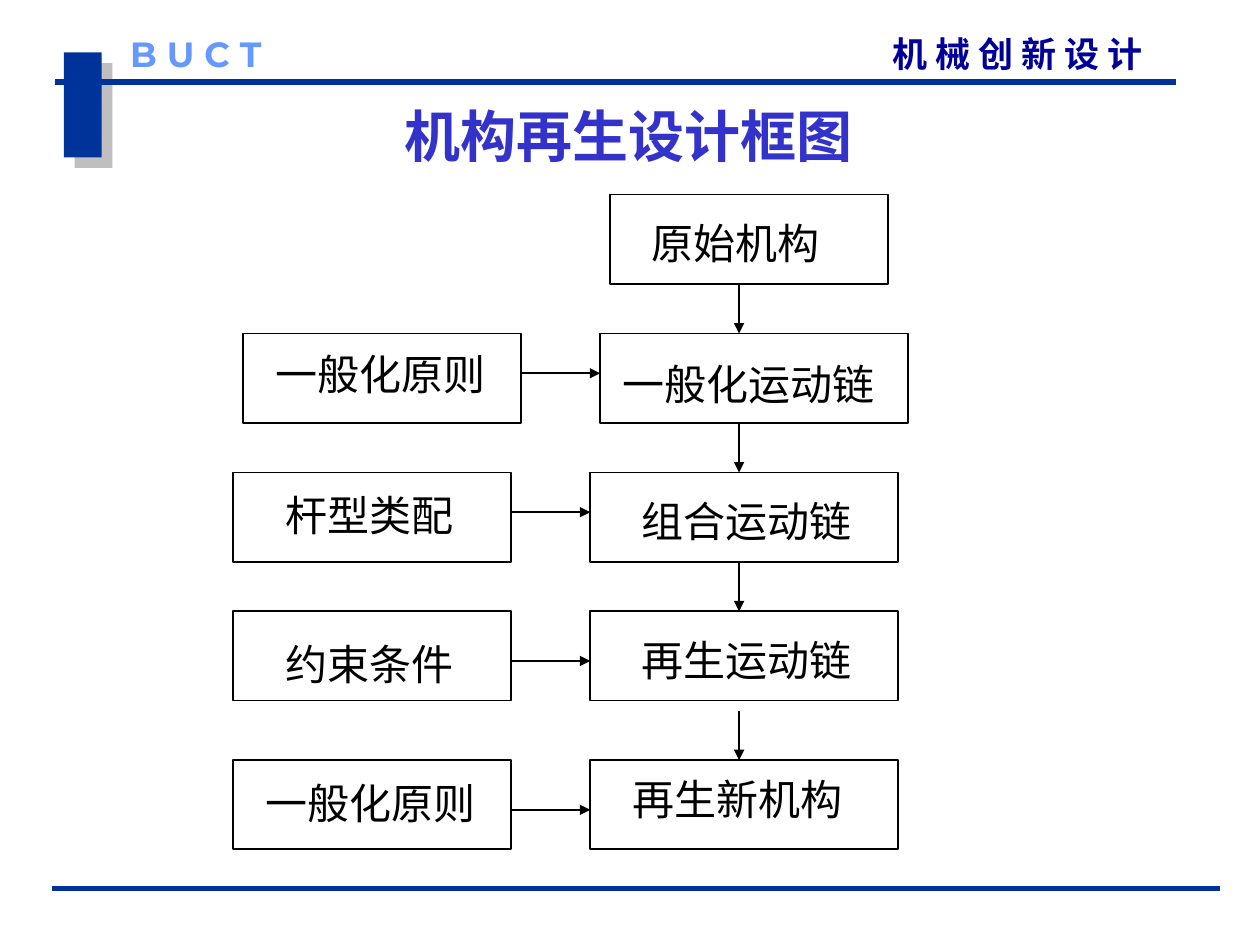
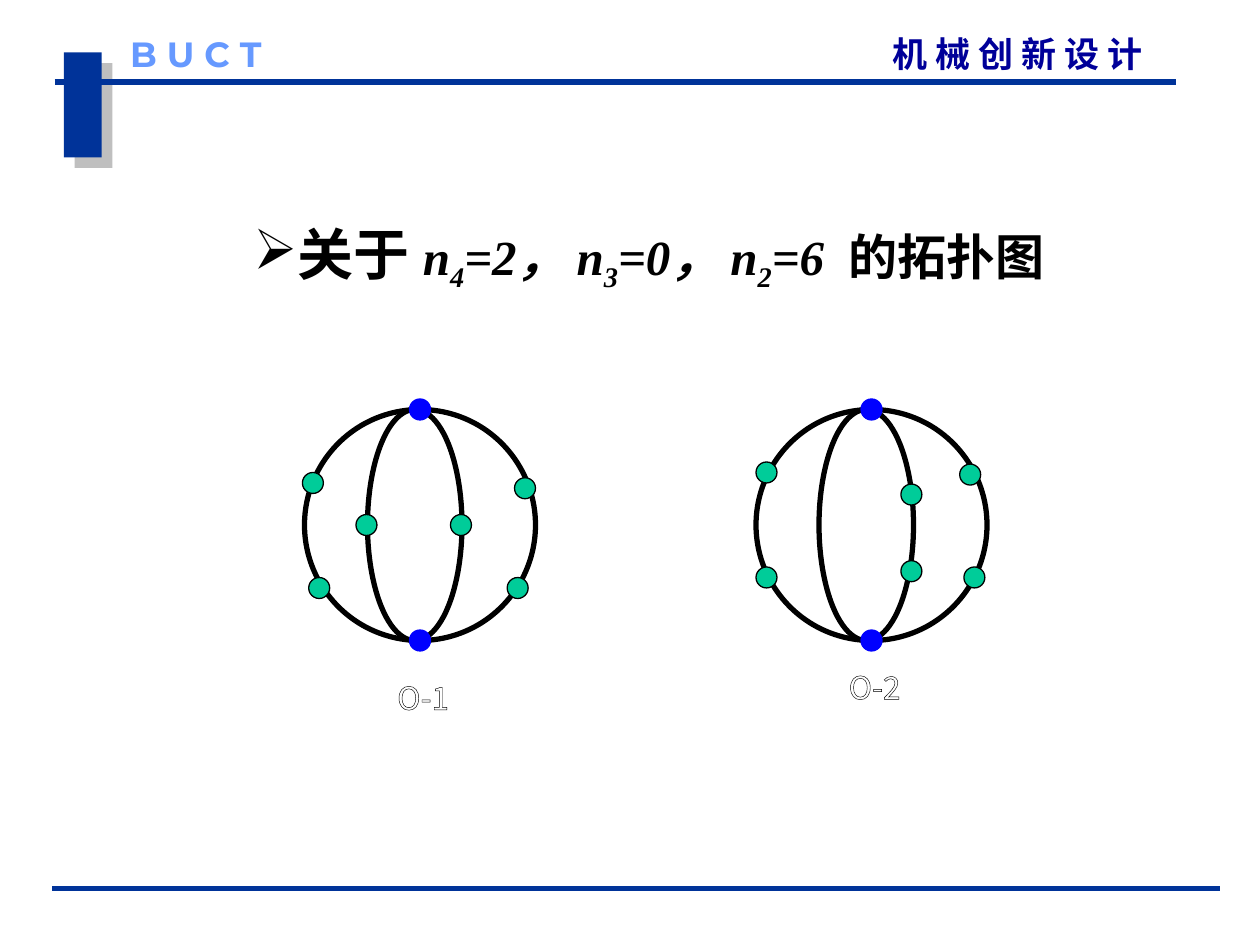
from lxml import etree
from pptx import Presentation
from pptx.dml.color import RGBColor
from pptx.enum.shapes import MSO_CONNECTOR, MSO_SHAPE
from pptx.enum.text import MSO_ANCHOR, PP_ALIGN
from pptx.oxml import parse_xml
from pptx.oxml.ns import nsdecls, qn
from pptx.util import Inches, Pt

RECT, OVAL = MSO_SHAPE.RECTANGLE, MSO_SHAPE.OVAL
LINE = MSO_CONNECTOR.STRAIGHT
TOP = MSO_ANCHOR.TOP
LEFT, MID = PP_ALIGN.LEFT, PP_ALIGN.CENTER

NAVY = RGBColor(0x00, 0x33, 0x99)
INK = RGBColor(0x00, 0x00, 0x99)
SKY = RGBColor(0x66, 0x99, 0xFF)
TITLE = RGBColor(0x33, 0x33, 0xCC)
BLUE = RGBColor(0x00, 0x00, 0xFF)
GREEN = RGBColor(0x00, 0xCC, 0x99)
BLACK = RGBColor(0x00, 0x00, 0x00)
WHITE = RGBColor(0xFF, 0xFF, 0xFF)
SANS, HAN, LATIN, SERIF = "Arial", "Noto Sans CJK SC", "Montserrat", "Times New Roman"

deck = Presentation()
deck.slide_width, deck.slide_height = Inches(10), Inches(7.5)
UNIT = deck.slide_width / 120
CELL = deck.slide_width / 127


def put(slide, kind, area, fill, edge, width):
    shape = slide.shapes.add_shape(kind, *[int(v) for v in area])
    shape.shadow.inherit = False
    if fill is None:
        shape.fill.background()
    else:
        shape.fill.solid()
        shape.fill.fore_color.rgb = fill
    if edge is None:
        shape.line.fill.background()
    else:
        shape.line.color.rgb = edge
        shape.line.width = Pt(width)
    return shape


def write(shape, text, size, face, color, bold=False, align=LEFT, pad=(0, 0)):
    frame = shape.text_frame
    frame.word_wrap = True
    frame.vertical_anchor = TOP
    frame.margin_left, frame.margin_top = [int(v) for v in pad]
    frame.margin_right = frame.margin_bottom = 0
    para = frame.paragraphs[0]
    para.alignment = align
    para.font.size, para.font.name, para.font.bold = Pt(size), face, bold
    para.font.color.rgb = color
    para.add_run().text = text
    return para


flow, graph = [deck.slides.add_slide(deck.slide_layouts[6]) for _ in range(2)]
lines = []

for slide in (flow, graph):
    bar = put(slide, RECT, [v * UNIT for v in (6.1, 5, 3.6, 10)], NAVY, None, 0)
    glow = bar._element.spPr.find(qn("a:effectLst"))
    glow.append(parse_xml(
        f'<a:outerShdw {nsdecls("a")} dist="107950" dir="2700000" algn="ctr" rotWithShape="0">'
        '<a:srgbClr val="808080"><a:alpha val="50000"/></a:srgbClr></a:outerShdw>'))
    for text, face, color, left, wide in (
        ("机 械 创 新 设 计", HAN, INK, 85, 28),
        ("B U C T", LATIN, SKY, 12.4, 17),
    ):
        box = slide.shapes.add_textbox(*[int(v * UNIT) for v in (left, 3.1, wide, 4)])
        write(box, text, 20, face, color, True)
    for left, right, level in ((5.2, 112, 7.8), (5, 116.2, 84.6)):
        ends = [v * UNIT for v in (left, level, right, level)]
        lines.append((slide, ends, NAVY, 3, False))

box = flow.shapes.add_textbox(*[int(v * UNIT) for v in (38.5, 9.7, 49, 7)])
write(box, "机构再生设计框图", 32, SANS, TITLE, True)

X0, Y0 = 0.185 * deck.slide_width, 0.206 * deck.slide_height
HIGH, AXIS = 9, 51
steps = (
    ("原始机构", 38, 0, 28, 4.2, 2.3),
    ("一般化运动链", 37, 14, 31, 2.3, 2.5),
    ("组合运动链", 36, 28, 31, 5.2, 2.3),
    ("再生运动链", 36, 42, 31, 5.2, 2.3),
    ("再生新机构", 36, 57, 31, 4.3, 1.3),
    ("一般化原则", 1, 14, 28, 3.3, 1.5),
    ("杆型类配", 0, 28, 28, 5.3, 1.7),
    ("约束条件", 0, 42, 28, 5.3, 2.7),
    ("一般化原则", 0, 57, 28, 3.3, 1.7),
)
for text, col, row, wide, dx, dy in steps:
    area = (X0 + col * CELL, Y0 + row * CELL, wide * CELL, HIGH * CELL)
    box = put(flow, RECT, area, None, BLACK, 1)
    write(box, text, 24, SANS, BLACK, pad=(dx * CELL, dy * CELL))

arrows = [(AXIS, row - 5, AXIS, row) for row in (14, 28, 42, 57)]
arrows += [(col + 28, row, col + 36, row) for col, row in ((1, 18), (0, 32), (0, 47), (0, 62))]
for x1, y1, x2, y2 in arrows:
    ends = (X0 + x1 * CELL, Y0 + y1 * CELL, X0 + x2 * CELL, Y0 + y2 * CELL)
    lines.append((flow, ends, BLACK, 1, True))

for slide, ends, color, width, tip in lines:
    link = slide.shapes.add_connector(LINE, *[int(v) for v in ends])
    link.line.color.rgb = color
    link.line.width = Pt(width)
    if tip:
        etree.SubElement(link.line._get_or_add_ln(), qn("a:tailEnd"), type="triangle")
    etree.SubElement(link._element.spPr, qn("a:effectLst"))

box = graph.shapes.add_textbox(*[int(v * UNIT) for v in (10.8, 20.3, 102, 8)])
box.text_frame.word_wrap = True
para = box.text_frame.paragraphs[0]
para.alignment = MID
props = para._p.get_or_add_pPr()
tint = etree.SubElement(props, qn("a:buClr"))
etree.SubElement(tint, qn("a:srgbClr"), val="000000")
etree.SubElement(props, qn("a:buChar"), char="➢")
para.font.name, para.font.bold = SERIF, True
para.font.color.rgb = BLACK
for text, size, slant, sub in (
    ("关于 ", 32, False, False),
    ("n", 28, True, False),
    ("4", 28, True, True),
    ("=2， n", 28, True, False),
    ("3", 28, True, True),
    ("=0， n", 28, True, False),
    ("2", 28, True, True),
    ("=6  ", 28, True, False),
    ("的拓扑图", 28, False, False),
):
    run = para.add_run()
    run.text = text
    run.font.size, run.font.italic = Pt(size), slant
    if sub:
        run.font._element.set("baseline", "-25000")

HUBS = ((10, -1), (10, 21))
graphs = (
    ("O-1", 29, 6, 64.6,
     ((13.9, 10), (4.9, 10), (19.3, 16), (20, 6.5), (0.4, 16), (-0.2, 6))),
    ("O-2", 72, 6, 63.6,
     ((19.8, 15), (19.4, 5.2), (13.8, 14.4), (13.8, 7.1), (0, 15), (0, 5))),
)
for text, left, inset, base, nodes in graphs:
    put(graph, OVAL, [v * UNIT for v in (left, 39, 22, 22)], WHITE, BLACK, 3)
    put(graph, OVAL, [v * UNIT for v in (left + inset, 39, 9, 22)], None, BLACK, 3)
    for spots, fill, edge in ((HUBS, BLUE, BLUE), (nodes, GREEN, BLACK)):
        for dx, dy in spots:
            put(graph, OVAL, [v * UNIT for v in (left + dx, 39 + dy, 2, 2)], fill, edge, 0.75)
    box = graph.shapes.add_textbox(*[int(v * UNIT) for v in (left + 8.3, base, 6, 4)])
    para = write(box, text, 18, HAN, WHITE, align=MID)
    para.runs[0].font._element.insert(0, parse_xml(
        f'<a:ln {nsdecls("a")} w="9525"><a:solidFill><a:srgbClr val="000000"/></a:solidFill></a:ln>'))

deck.save("out.pptx")
